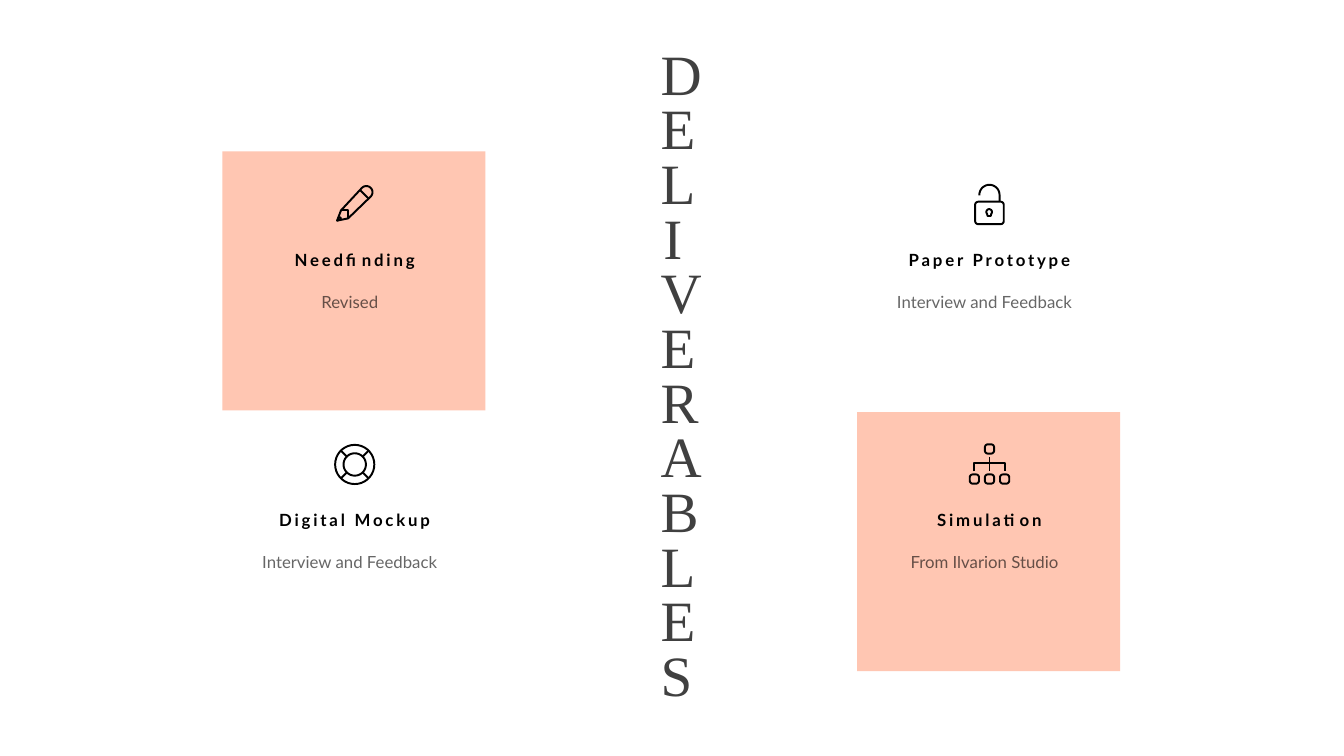
from dataclasses import dataclass
from math import cos, radians, sin

from pptx import Presentation
from pptx.dml.color import RGBColor
from pptx.enum.shapes import MSO_SHAPE as FORM
from pptx.enum.text import MSO_ANCHOR as ANCHOR, MSO_AUTO_SIZE as FIT, PP_ALIGN as ALIGN
from pptx.oxml.ns import qn
from pptx.oxml.xmlchemy import OxmlElement as make
from pptx.slide import Slide
from pptx.util import Pt

PEACH = RGBColor(0xFF, 0xC6, 0xB2)
BLACK = RGBColor(0, 0, 0)
GREY = RGBColor(0x40, 0x40, 0x40)
LEFT, RIGHT = 253.4, 706.8
TOP, LOW = 145.6, 331.8

Point = tuple[float, float]


@dataclass
class Stroke:
    points: list[Point]
    close: bool = False


@dataclass
class Card:
    x: float
    y: float
    head: str
    note: str
    icon: list[Stroke]
    tint: bool = False


@dataclass
class Style:
    width: float
    height: float
    drop: float
    space: float
    inset: float = 0
    bold: bool = False
    track: int = 0
    alpha: int = 100


HEAD = Style(138.2, 11.5, 35.4, 0.8, bold=True, track=200)
NOTE = Style(182.2, 19.4, 55.4, 1.5, inset=7.2, alpha=60)


def polar(radius: float, angle: float) -> Point:
    return radius * cos(radians(angle)), radius * sin(radians(angle))


def curve(x: float, y: float, radius: float, start: int, end: int) -> list[Point]:
    bends = [polar(radius, angle) for angle in range(start, end + 1, 10)]
    return [(x + a, y + b) for a, b in bends]


def loop(x: float, y: float, width: float, height: float, radius: float) -> Stroke:
    a, b = width / 2 - radius, height / 2 - radius
    corners = [(a, b), (-a, b), (-a, -b), (a, -b)]
    return Stroke([spot for turn, (dx, dy) in enumerate(corners)
                   for spot in curve(x + dx, y + dy, radius, turn * 90, turn * 90 + 90)], True)


def pencil() -> list[Stroke]:
    cap = curve(8.3, -8.3, 4.4, -135, 45)
    return [
        Stroke([(-12.6, 12), (-9.8, 4.7), *cap, (-4.7, 10.4)], True),
        Stroke([(-9.8, 4.7), (-4.7, 4.7), (-4.7, 10.4)]),
        Stroke([(-12.3, 11.8), (-11.2, 9.6), (-10, 9.8), (-9.9, 11.2)], True),
        Stroke([(3.9, -9.8), (9.8, -3.9)]),
    ]


def ring() -> list[Stroke]:
    spokes = [Stroke([polar(8, angle), polar(14, angle)]) for angle in (45, 135, 225, 315)]
    return [Stroke(curve(0, 0, size, 0, 350), True) for size in (14, 8)] + spokes


def lock() -> list[Stroke]:
    return [
        loop(0, 6.5, 20.4, 16, 2.2),
        Stroke([*curve(-0.2, 5.8, 2, 140, 400), (0.9, 8.7), (-1.3, 8.7)], True),
        Stroke([(-7.2, -6), *curve(0, -6.4, 7.2, 180, 360), (7.2, -1.5)]),
    ]


def tree() -> list[Stroke]:
    gap = 10.8
    spots = [(0, -11.1), (-gap, 10.4), (0, 10.4), (gap, 10.4)]
    return [loop(a, b, 6.6, 6.6, 2.2) for a, b in spots] + [
        Stroke([(0, -5.5), (0, 4.9)]),
        Stroke([(-gap, 4.9), (-gap, -1.3), (gap, -1.3), (gap, 4.9)]),
    ]


CARDS = [
    Card(LEFT, TOP, "Needfinding", "Revised", pencil(), tint=True),
    Card(RIGHT, TOP, "Paper Prototype", "Interview and Feedback", lock()),
    Card(LEFT, LOW, "Digital Mockup", "Interview and Feedback", ring()),
    Card(RIGHT, LOW, "Simulation", "From Ilvarion Studio", tree(), tint=True),
]


def trace(slide: Slide, card: Card) -> None:
    paths = [[(Pt(card.x + a), Pt(card.y + b)) for a, b in stroke.points]
             for stroke in card.icon]
    pen = slide.shapes.build_freeform(*paths[0][0])
    for stroke, spots in zip(card.icon, paths):
        pen.move_to(*spots[0])
        pen.add_line_segments(spots[1:], close=stroke.close)
    shape = pen.convert_to_shape()
    shape.shadow.inherit = False
    shape.fill.background()
    shape.line.color.rgb = BLACK
    shape.line.width = Pt(1.4)


def write(slide: Slide, card: Card, text: str, style: Style) -> None:
    box = slide.shapes.add_textbox(
        Pt(card.x - style.width / 2), Pt(card.y + style.drop), Pt(style.width), Pt(style.height))
    frame = box.text_frame
    frame.word_wrap = True
    frame.auto_size = FIT.SHAPE_TO_FIT_TEXT
    frame.margin_left = frame.margin_top = frame.margin_bottom = 0
    frame.margin_right = Pt(style.inset)
    para = frame.paragraphs[0]
    para.alignment = ALIGN.CENTER
    para.line_spacing = style.space
    run = para.add_run()
    run.text = text
    font = run.font
    font.name, font.size, font.bold = "Lato", Pt(12), style.bold
    font.color.rgb = BLACK
    props = run._r.get_or_add_rPr()
    if style.track:
        props.set("spc", str(style.track))
    if style.alpha < 100:
        alpha = make("a:alpha")
        alpha.set("val", str(style.alpha * 1000))
        props.find(qn("a:solidFill"))[0].append(alpha)


def draw(slide: Slide, card: Card) -> None:
    if card.tint:
        panel = slide.shapes.add_shape(
            FORM.RECTANGLE, Pt(card.x - 94.6), Pt(card.y - 37.4), Pt(188), Pt(185))
        panel.shadow.inherit = False
        panel.fill.solid()
        panel.fill.fore_color.rgb = PEACH
        panel.line.fill.background()
    trace(slide, card)
    write(slide, card, card.head, HEAD)
    write(slide, card, card.note, NOTE)


def entitle(slide: Slide, text: str) -> None:
    title = slide.shapes.title
    title.left, title.top, title.width, title.height = Pt(464.7), Pt(11.5), Pt(31.7), Pt(519.1)
    frame = title.text_frame
    frame.word_wrap = True
    frame.auto_size = FIT.NONE
    frame.vertical_anchor = ANCHOR.MIDDLE
    para = frame.paragraphs[0]
    para.alignment = ALIGN.CENTER
    para.line_spacing = 0.8
    run = para.add_run()
    run.text = text
    run.font.name, run.font.size = "Times New Roman", Pt(40.7)
    run.font.color.rgb = GREY


def main() -> None:
    deck = Presentation()
    deck.slide_width, deck.slide_height = Pt(960), Pt(540)
    slide = deck.slides.add_slide(deck.slide_layouts[5])
    entitle(slide, "DELIVERABLES")
    for card in CARDS:
        draw(slide, card)
    deck.save("out.pptx")


if __name__ == "__main__":
    main()
